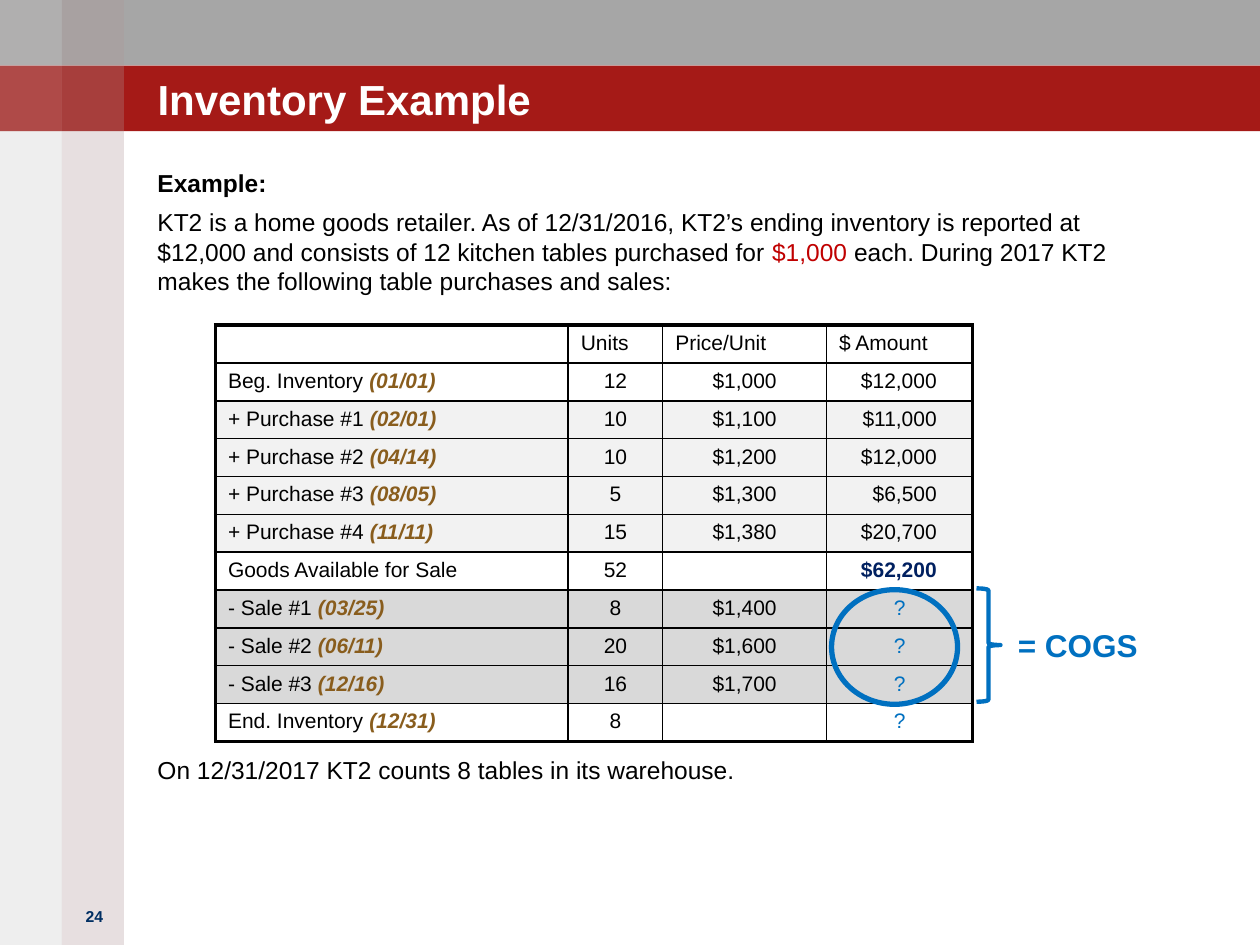
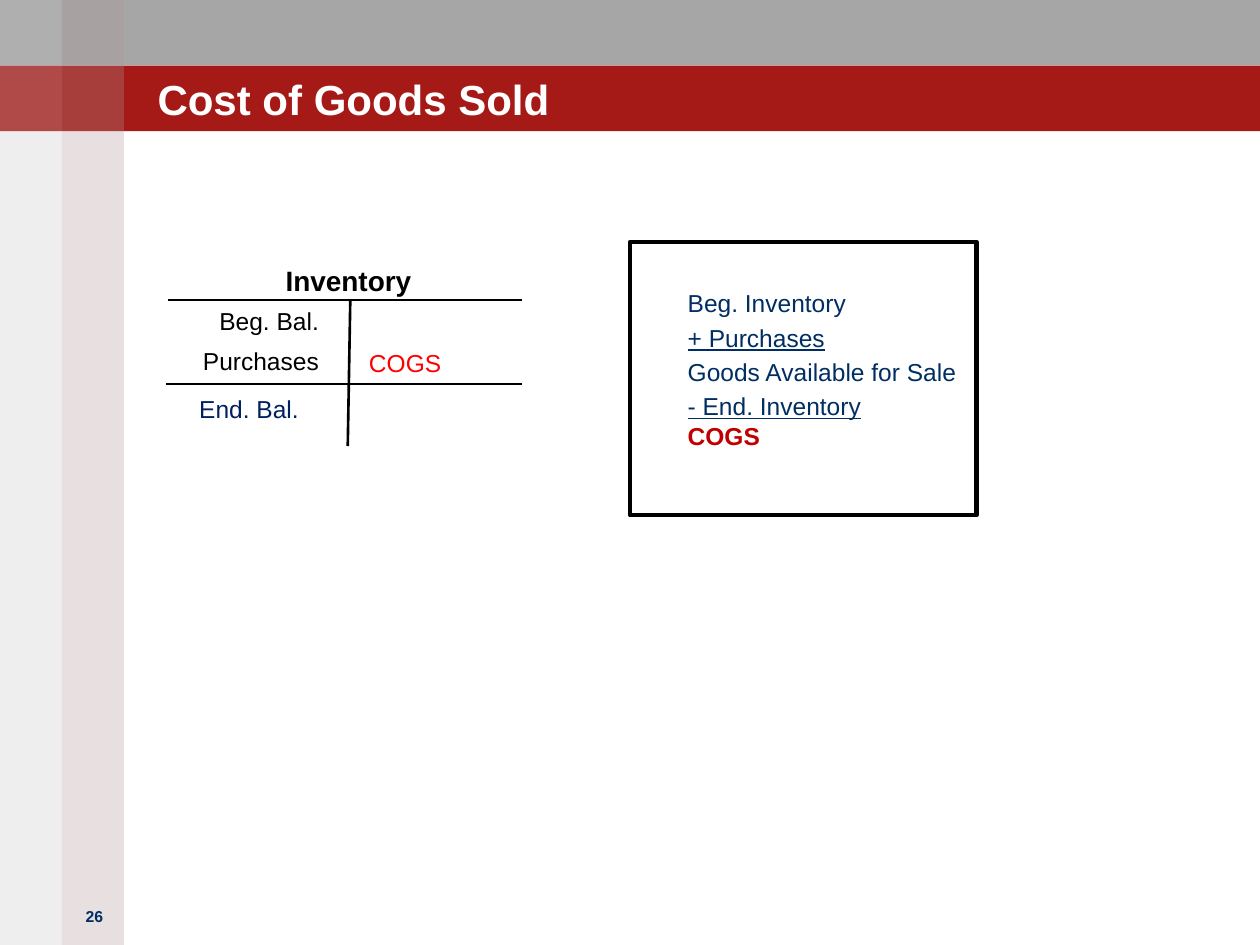
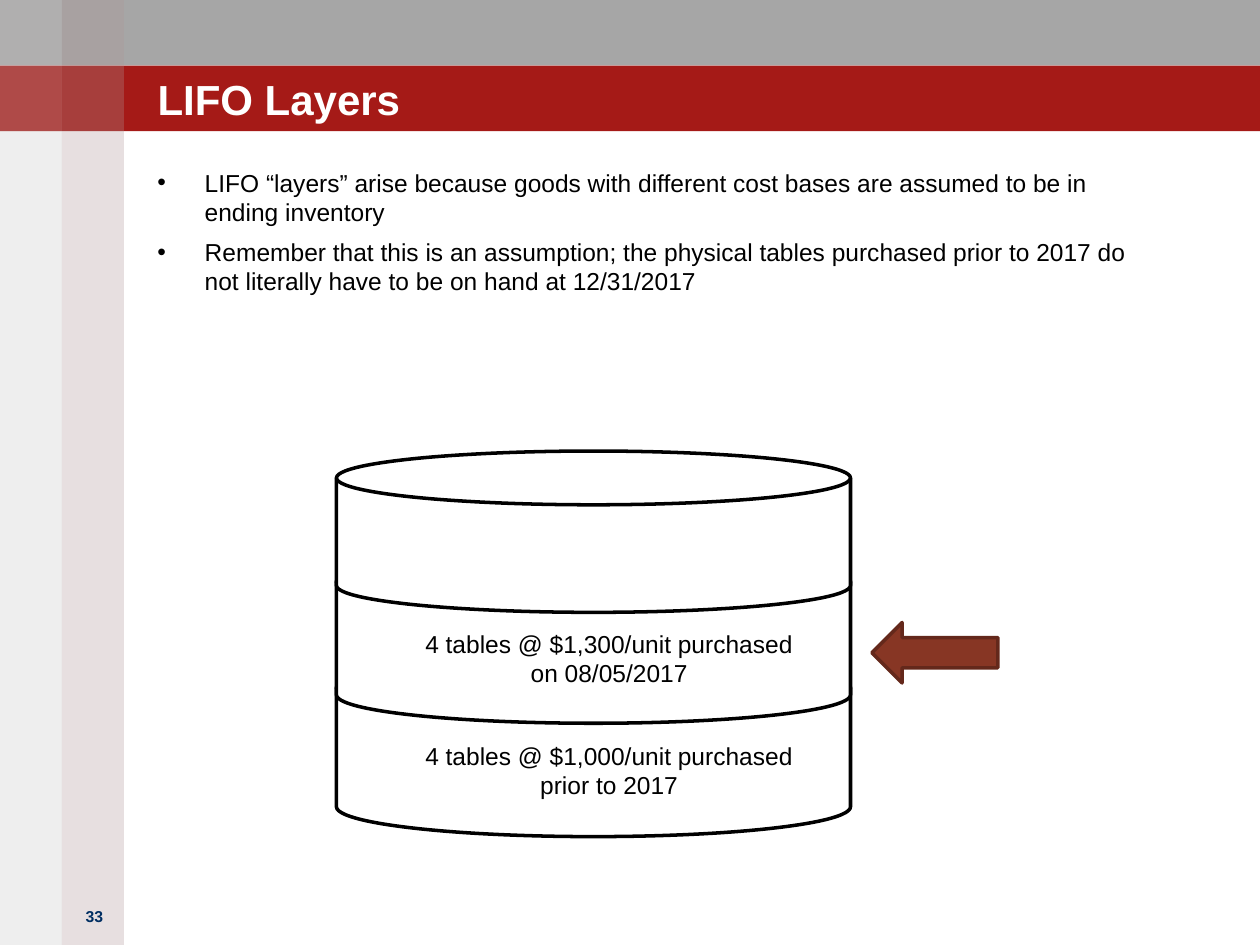
from dataclasses import dataclass
from typing import NamedTuple, Optional

from lxml.etree import SubElement
from pptx import Presentation
from pptx.dml.color import RGBColor
from pptx.enum.shapes import MSO_CONNECTOR as Connector, MSO_SHAPE as Preset
from pptx.enum.text import MSO_ANCHOR as Anchor, PP_ALIGN as Align
from pptx.oxml.ns import qn
from pptx.util import Inches, Pt

COLORS = {
    "black": "000000",
    "white": "FFFFFF",
    "top band": "A6A6A6",
    "title band": "A51A17",
    "left stripe": "938F8F",
    "right stripe": "A08284",
    "navy": "002E62",
    "total": "002060",
    "date": "895D1D",
    "blue": "0070C0",
    "dark red": "C00000",
    "red": "FF0000",
    "purchase": "F2F2F2",
    "sale": "D9D9D9",
    "arrow": "873624",
    "arrow edge": "64281B",
}
FONT = "Arial"
SLIDE_WIDTH, SLIDE_HEIGHT = Inches(10), Inches(7.5)
COLUMN, ROW = SLIDE_WIDTH / 100, SLIDE_HEIGHT / 75
BAND_ROWS = 5.2
STRIPE_COLUMNS = 4.92
INSET = Inches(0.1), Inches(0.05)


def across(columns: float) -> int:
    return round(columns * COLUMN)


def down(rows: float) -> int:
    return round(rows * ROW)


class Box(NamedTuple):
    left: float
    top: float
    width: float
    height: float

    def place(self) -> tuple[int, int, int, int]:
        return (across(self.left), down(self.top),
                across(self.width), down(self.height))


class Span(NamedTuple):
    text: str
    color: str = "black"
    bold: bool = False
    italic: bool = False
    underline: bool = False


@dataclass
class Para:
    spans: list[Span]
    before: float = 0
    bullet: bool = False


@dataclass
class Label:
    box: Box
    paras: list[Para]
    size: float = 14
    align: Align = Align.LEFT
    padded: bool = True
    anchor: Anchor = Anchor.TOP


@dataclass
class Figure:
    preset: Preset
    box: Box
    fill: Optional[str] = None
    line: Optional[str] = None
    weight: float = 0
    opacity: int = 100


class Rule(NamedTuple):
    start: tuple[float, float]
    end: tuple[float, float]
    weight: float


class Entry(NamedTuple):
    item: str
    date: str
    units: str
    price: str
    amount: str
    fill: str = "white"
    amount_color: str = "black"


def rgb(name: str) -> RGBColor:
    return RGBColor.from_string(COLORS[name])


def write_spans(paragraph, spans: list[Span], size: float) -> None:
    for span in spans:
        run = paragraph.add_run()
        run.text = span.text
        font = run.font
        font.name, font.size = FONT, Pt(size)
        font.bold, font.italic, font.underline = span.bold, span.italic, span.underline
        font.color.rgb = rgb(span.color)


def add_bullet(paragraph) -> None:
    props = paragraph._p.get_or_add_pPr()
    hang = across(3.75)
    props.set("marL", str(hang))
    props.set("indent", str(-hang))
    SubElement(props, qn("a:buFont"), typeface=FONT)
    SubElement(props, qn("a:buChar"), char="•")


def draw_label(slide, label: Label) -> None:
    frame = slide.shapes.add_textbox(*label.box.place()).text_frame
    frame.word_wrap = True
    frame.vertical_anchor = label.anchor
    side, edge = INSET if label.padded else (0, 0)
    frame.margin_left = frame.margin_right = side
    frame.margin_top = frame.margin_bottom = edge
    for index, para in enumerate(label.paras):
        paragraph = frame.add_paragraph() if index else frame.paragraphs[0]
        paragraph.alignment = label.align
        if para.before:
            paragraph.space_before = Pt(para.before)
        if para.bullet:
            add_bullet(paragraph)
        write_spans(paragraph, para.spans, label.size)


def draw_figure(slide, figure: Figure) -> None:
    shape = slide.shapes.add_shape(figure.preset, *figure.box.place())
    shape.shadow.inherit = False
    if figure.fill:
        shape.fill.solid()
        shape.fill.fore_color.rgb = rgb(figure.fill)
        if figure.opacity < 100:
            tint = shape.fill._xPr.find(qn("a:solidFill"))[0]
            SubElement(tint, qn("a:alpha"), val=str(figure.opacity * 1000))
    else:
        shape.fill.background()
    if figure.line:
        shape.line.color.rgb = rgb(figure.line)
        shape.line.width = Pt(figure.weight)
    else:
        shape.line.fill.background()


def draw_rule(slide, rule: Rule) -> None:
    (x1, y1), (x2, y2) = rule.start, rule.end
    line = slide.shapes.add_connector(
        Connector.STRAIGHT, across(x1), down(y1), across(x2), down(y2))
    line.line.color.rgb = rgb("black")
    line.line.width = Pt(rule.weight)
    SubElement(line._element.spPr, qn("a:effectLst"))


def start_slide(deck, title: str, number: int):
    slide = deck.slides.add_slide(deck.slide_layouts[6])
    bands = ("top band", "title band")
    stripes = (("left stripe", 15, 15), ("right stripe", 25, 5))
    for index, color in enumerate(bands):
        draw_figure(slide, Figure(
            Preset.RECTANGLE, Box(0, index * BAND_ROWS, 100, BAND_ROWS), color))
    for index, (color, opacity, glaze) in enumerate(stripes):
        left = index * STRIPE_COLUMNS
        draw_figure(slide, Figure(
            Preset.RECTANGLE, Box(left, 0, STRIPE_COLUMNS, 75), color, opacity=opacity))
        for band in range(len(bands)):
            draw_figure(slide, Figure(
                Preset.RECTANGLE,
                Box(left, band * BAND_ROWS, STRIPE_COLUMNS, BAND_ROWS),
                "white", opacity=glaze))
    draw_label(slide, Label(
        Box(5, 71.5, 5, 3), [Para([Span(str(number), "navy", bold=True)])],
        size=9, align=Align.CENTER))
    draw_label(slide, Label(
        Box(12.5, 3.1, 82.5, 6.7), [Para([Span(title, "white", bold=True)])],
        size=24, padded=False, anchor=Anchor.BOTTOM))
    return slide


def border_cell(cell, weights: dict[str, float]) -> None:
    props = cell._tc.get_or_add_tcPr()
    for index, (side, weight) in enumerate(weights.items()):
        edge = SubElement(props, qn(f"a:ln{side}"), w=str(Pt(weight)))
        paint = SubElement(edge, qn("a:solidFill"))
        SubElement(paint, qn("a:srgbClr"), val=COLORS["black"])
        props.insert(index, edge)


def draw_ledger(slide, entries: list[Entry]) -> None:
    widths = (28, 7.5, 13, 11.6)
    row_height = 2.87
    last_row, last_column = len(entries) - 1, len(widths) - 1
    box = Box(17.1, 25.8, sum(widths), row_height * len(entries))
    ledger = slide.shapes.add_table(len(entries), len(widths), *box.place()).table
    ledger.first_row = ledger.horz_banding = False
    for column, width in zip(ledger.columns, widths):
        column.width = across(width)
    for r, entry in enumerate(entries):
        ledger.rows[r].height = down(row_height)
        is_total = entry.amount_color == "total"
        texts = (
            [Span(entry.item), Span(entry.date, "date", bold=True, italic=True)],
            [Span(entry.units)],
            [Span(entry.price)],
            [Span(entry.amount, entry.amount_color, bold=is_total)],
        )
        for c, spans in enumerate(texts):
            cell = ledger.cell(r, c)
            cell.fill.solid()
            cell.fill.fore_color.rgb = rgb(entry.fill)
            cell.margin_left = cell.margin_right = INSET[0]
            cell.margin_top = cell.margin_bottom = INSET[1]
            paragraph = cell.text_frame.paragraphs[0]
            paragraph.alignment = Align.CENTER if r and c else Align.LEFT
            if r and c == last_column and entry.amount.startswith("$"):
                paragraph.alignment = Align.RIGHT
                cell.margin_right = across(2.85)
            written = [span for span in spans if span.text]
            write_spans(paragraph, written, 12)
            if not written:
                SubElement(paragraph._p, qn("a:endParaRPr"), sz="1200")
            border_cell(cell, {
                "L": 1 if c else 2.25,
                "R": 2.25 if c == last_column else 1,
                "T": 1 if r else 2.25,
                "B": 2.25 if r == last_row else 1,
            })


def build_inventory_example(deck) -> None:
    slide = start_slide(deck, "Inventory Example", 24)
    draw_label(slide, Label(Box(12.5, 13.3, 80, 11), [
        Para([Span("Example:", bold=True)]),
        Para([
            Span("KT2 is a home goods retailer. As of 12/31/2016, KT2’s ending "
                 "inventory is reported at $12,000 and consists of 12 kitchen "
                 "tables purchased for "),
            Span("$1,000 ", "dark red"),
            Span("each. During 2017 KT2 makes the following table purchases "
                 "and sales:"),
        ], before=6),
    ], padded=False))
    draw_label(slide, Label(
        Box(12.5, 59.9, 80, 3),
        [Para([Span("On 12/31/2017 KT2 counts 8 tables in its warehouse.")])],
        padded=False))
    draw_ledger(slide, [
        Entry("", "", "Units", "Price/Unit", "$ Amount"),
        Entry("Beg. Inventory ", "(01/01)", "12", "$1,000", "$12,000"),
        Entry("+ Purchase #1 ", "(02/01)", "10", "$1,100", "$11,000", "purchase"),
        Entry("+ Purchase #2 ", "(04/14)", "10", "$1,200", "$12,000", "purchase"),
        Entry("+ Purchase #3 ", "(08/05)", "5", "$1,300", "$6,500", "purchase"),
        Entry("+ Purchase #4 ", "(11/11)", "15", "$1,380", "$20,700", "purchase"),
        Entry("Goods Available for Sale", "", "52", "", "$62,200",
              amount_color="total"),
        Entry("- Sale #1 ", "(03/25)", "8", "$1,400", "?", "sale", "blue"),
        Entry("- Sale #2 ", "(06/11)", "20", "$1,600", "?", "sale", "blue"),
        Entry("- Sale #3 ", "(12/16)", "16", "$1,700", "?", "sale", "blue"),
        Entry("End. Inventory ", "(12/31)", "8", "", "?", amount_color="blue"),
    ])
    draw_figure(slide, Figure(
        Preset.RIGHT_BRACE, Box(77.5, 46.7, 1.9, 9), line="blue", weight=2.5))
    draw_label(slide, Label(
        Box(79.8, 49.2, 14.2, 4), [Para([Span("= COGS", "blue", bold=True)])], size=18))
    draw_figure(slide, Figure(
        Preset.OVAL, Box(66, 46.8, 10, 9.1), line="blue", weight=3))


def build_cost_of_goods_sold(deck) -> None:
    slide = start_slide(deck, "Cost of Goods Sold", 26)
    draw_figure(slide, Figure(
        Preset.RECTANGLE, Box(50, 19.2, 27.5, 21.7), line="black", weight=2.5))
    step = 2.8
    draw_label(slide, Label(Box(53.6, 22.4, 43.3, 24.2), [
        Para([Span("Beg. Inventory", "navy")]),
        Para([Span("+ Purchases", "navy", underline=True)], before=step),
        Para([Span("Goods Available for Sale", "navy")], before=step),
        Para([Span("- End. Inventory", "navy", underline=True)], before=step),
        Para([Span("COGS", "dark red", bold=True)]),
    ]))
    account = [
        Label(Box(11.2, 20.4, 32.9, 3.7), [Para([Span("Inventory", bold=True)])],
              size=16, align=Align.CENTER),
        Label(Box(8.9, 23.8, 17.4, 7),
              [Para([Span("Beg. Bal.")]), Para([Span("Purchases")], before=6)],
              align=Align.RIGHT),
        Label(Box(8.9, 30.75, 15.8, 3.4), [Para([Span("End. Bal.", "total")])],
              align=Align.RIGHT),
        Label(Box(28.3, 27.1, 13.1, 3.4), [Para([Span("COGS", "red")])]),
    ]
    for label in account:
        draw_label(slide, label)
    for rule in (Rule((13.3, 23.8), (41.4, 23.8), 1.5),
                 Rule((27.8, 23.9), (27.6, 35.4), 1.5),
                 Rule((13.2, 30.5), (41.4, 30.5), 1)):
        draw_rule(slide, rule)


def build_lifo_layers(deck) -> None:
    slide = start_slide(deck, "LIFO Layers", 33)
    draw_label(slide, Label(Box(12.5, 13.3, 78.3, 12), [
        Para([Span("LIFO “layers” arise because goods with different cost bases "
                   "are assumed to be in ending inventory")], bullet=True),
        Para([Span("Remember that this is an assumption; the physical tables "
                   "purchased prior to 2017 do not literally have to be on hand "
                   "at 12/31/2017")], before=6, bullet=True),
    ], padded=False))
    for top, height in ((52.2, 14.2), (43.9, 13.5), (35.8, 12.8)):
        draw_figure(slide, Figure(
            Preset.FLOWCHART_MAGNETIC_DISK, Box(26.7, top, 40.8, height),
            "white", "black", 2))
    draw_figure(slide, Figure(
        Preset.LEFT_ARROW, Box(69.2, 49.4, 10, 4.8), "arrow", "arrow edge", 2))
    for top, layer in ((49.4, "4 tables @ $1,300/unit purchased on 08/05/2017"),
                       (58.3, "4 tables @ $1,000/unit purchased prior to 2017")):
        draw_label(slide, Label(
            Box(32.5, top, 31.7, 5.7), [Para([Span(layer)])], align=Align.CENTER))


def main() -> None:
    deck = Presentation()
    deck.slide_width, deck.slide_height = SLIDE_WIDTH, SLIDE_HEIGHT
    build_inventory_example(deck)
    build_cost_of_goods_sold(deck)
    build_lifo_layers(deck)
    deck.save("out.pptx")


if __name__ == "__main__":
    main()
